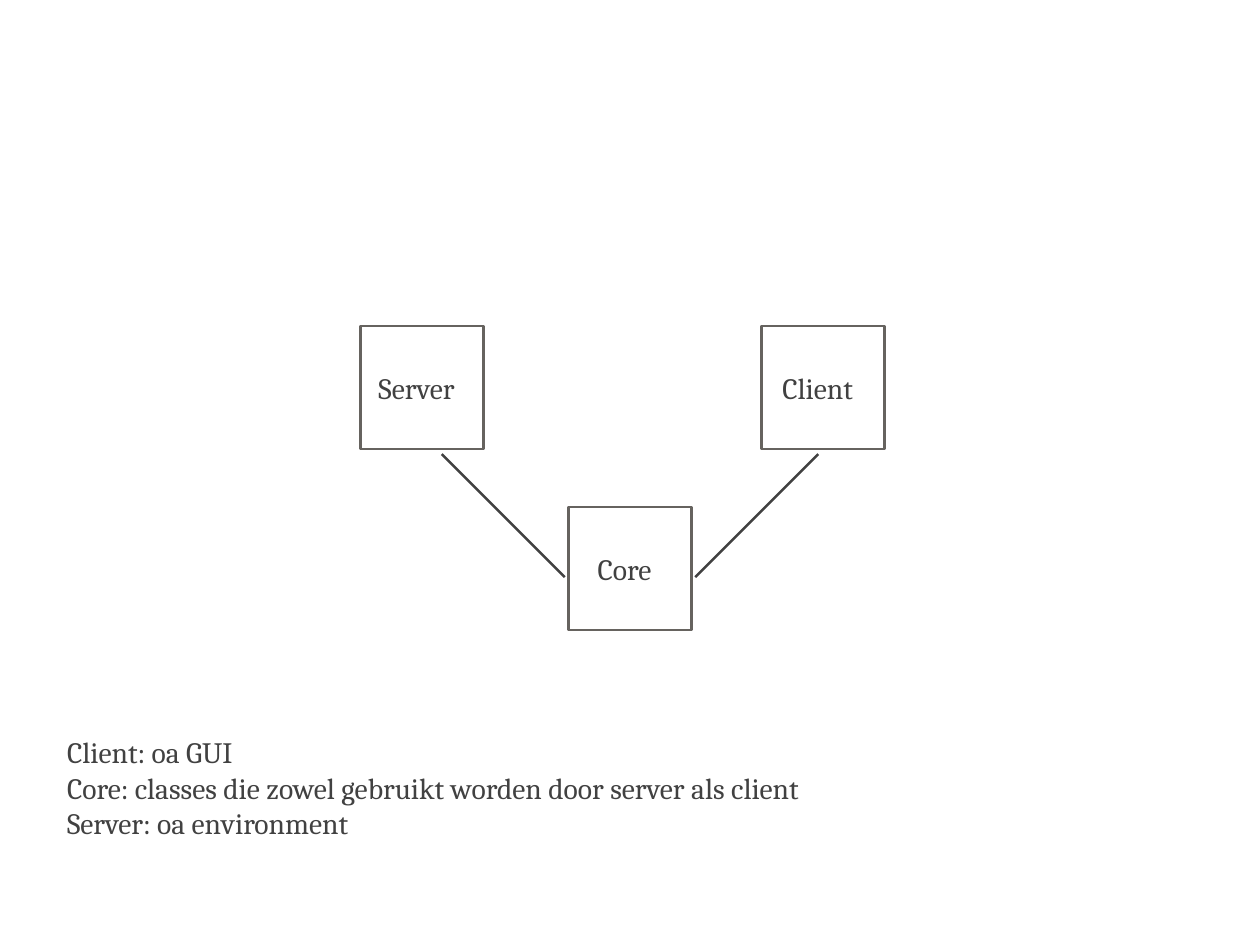
from dataclasses import dataclass

from lxml import etree
from pptx import Presentation
from pptx.dml.color import RGBColor
from pptx.enum import shapes, text
from pptx.oxml import ns
from pptx.util import Pt


@dataclass(frozen=True)
class Theme:
    font: str = "Cambria"
    size: float = 24
    ink: RGBColor = RGBColor(0x41, 0x41, 0x41)
    border: RGBColor = RGBColor(0x66, 0x63, 0x5F)
    line_width: float = 2
    inset: float = 4.5


THEME = Theme()
BOX_SIDE = 100
COMPONENTS = [("Server", 293, 265), ("Client", 619, 265), ("Core", 462, 412)]
LINKS = [((565, 469), (665, 369)), ((459, 469), (359, 369))]
NOTES = [
    "Client: oa GUI",
    "Core: classes die zowel gebruikt worden door server als client",
    "Server: oa environment",
]


def write_lines(frame, lines, alignment):
    frame.vertical_anchor = text.MSO_ANCHOR.MIDDLE
    frame.margin_left = frame.margin_right = Pt(THEME.inset)
    frame.margin_top = frame.margin_bottom = Pt(THEME.inset)
    frame.text = "\n".join(lines)
    for paragraph in frame.paragraphs:
        paragraph.alignment = alignment
        paragraph.font.name = THEME.font
        paragraph.font.size = Pt(THEME.size)
        paragraph.font.color.rgb = THEME.ink


def add_component(slide, name, left, top):
    shape = slide.shapes.add_shape(
        shapes.MSO_SHAPE.RECTANGLE, Pt(left), Pt(top), Pt(BOX_SIDE), Pt(BOX_SIDE)
    )
    shape.shadow.inherit = False
    shape.fill.background()
    shape.line.color.rgb = THEME.border
    shape.line.width = Pt(THEME.line_width)
    write_lines(shape.text_frame, [name], text.PP_ALIGN.CENTER)
    # The labels sit slightly left of the box centre.
    shape.text_frame.margin_right = Pt(3 * THEME.inset)


def add_link(slide, start, end):
    connector = slide.shapes.add_connector(
        shapes.MSO_CONNECTOR.STRAIGHT, *map(Pt, start + end)
    )
    connector.line.color.rgb = THEME.ink
    connector.line.width = Pt(THEME.line_width)
    properties = connector._element.find(ns.qn("p:spPr"))
    etree.SubElement(properties, ns.qn("a:effectLst"))


def add_notes(slide, lines, left, top, width, height):
    """Add the left-aligned explanation below the diagram."""
    box = slide.shapes.add_textbox(Pt(left), Pt(top), Pt(width), Pt(height))
    box.text_frame.word_wrap = True
    write_lines(box.text_frame, lines, text.PP_ALIGN.LEFT)


def main():
    presentation = Presentation()
    presentation.slide_width = Pt(1024)
    presentation.slide_height = Pt(768)
    blank_layout = presentation.slide_layouts[6]
    slide = presentation.slides.add_slide(blank_layout)
    for name, left, top in COMPONENTS:
        add_component(slide, name, left, top)
    for start, end in LINKS:
        add_link(slide, start, end)
    add_notes(slide, NOTES, 50, 588, 670, 104)
    presentation.save("out.pptx")


if __name__ == "__main__":
    main()
